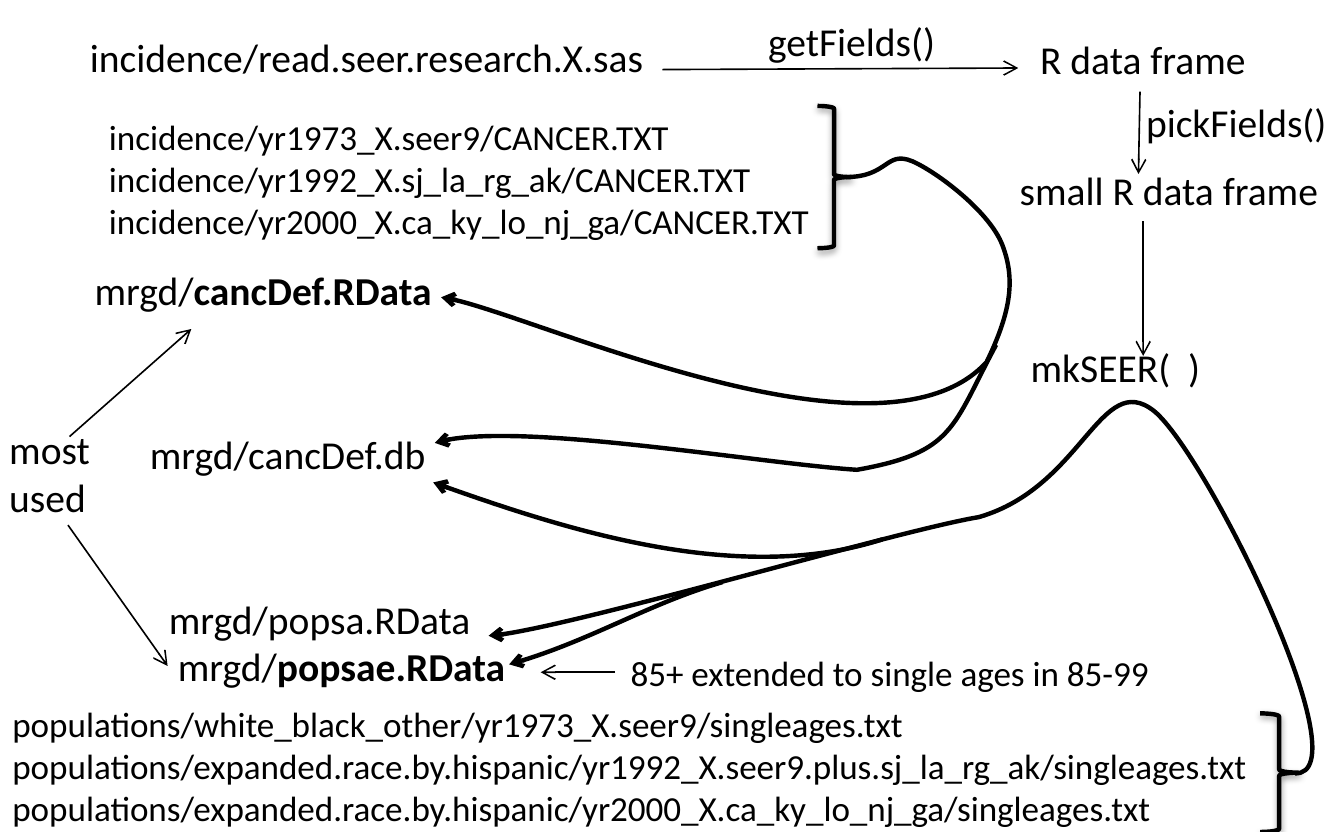
from lxml import etree
from pptx import Presentation
from pptx.dml.color import RGBColor
from pptx.enum.shapes import MSO_CONNECTOR, MSO_SHAPE
from pptx.enum.text import MSO_AUTO_SIZE, PP_ALIGN
from pptx.oxml import parse_xml
from pptx.oxml.ns import nsdecls, qn
from pptx.util import Inches, Pt

BLACK, WHITE = "000000", "FFFFFF"


def set_line(item, color, width, arrow=False):
    """Line colour and width, no inherited shadow, optional arrow at the end."""
    item.line.color.rgb = RGBColor.from_string(color)
    item.line.width = Pt(width)
    properties = item.line._get_or_add_ln()
    if arrow:
        etree.SubElement(properties, qn("a:tailEnd")).set("type", "arrow")
    properties.addnext(parse_xml(f"<a:effectLst {nsdecls('a')}/>"))


prs = Presentation()
prs.slide_width, prs.slide_height = Inches(8.5), Inches(5.26)
slide = prs.slides.add_slide(prs.slide_layouts[6])
shapes = slide.shapes

# Labels: left, top, width, height, size, wrap, border, paragraphs
# A paragraph is a tuple of its plain part and, if any, its bold part
labels = [
    (0.97, 3.71, 2.42, 1.01, 18, False, True,
     [("mrgd/popsa.RData",), (" mrgd/", "popsae.RData")]),
    (0.85, 2.67, 2.1, 0.4, 18, False, True, [("mrgd/cancDef.db",)]),
    (0.59, 0.68, 4.71, 0.91, 16, False, True,
     [("incidence/yr1973_X.seer9/CANCER.TXT",),
      ("incidence/yr1992_X.sj_la_rg_ak/CANCER.TXT",),
      ("incidence/yr2000_X.ca_ky_lo_nj_ga/CANCER.TXT",)]),
    (0.5, 1.63, 2.38, 0.4, 18, False, True, [("mrgd/", "cancDef.RData")]),
    (0.47, 0.16, 3.78, 0.4, 18, False, True,
     [("incidence/read.seer.research.X.sas",)]),
    (4.76, 0.06, 1.27, 0.4, 18, False, True, [("getFields()",)]),
    (6.48, 0.17, 1.53, 0.4, 18, False, True, [("R data frame",)]),
    (7.15, 0.57, 1.36, 0.4, 18, False, True, [("pickFields()",)]),
    (6.35, 1, 2.12, 0.4, 18, False, True, [("small R data frame",)]),
    (6.42, 2.12, 1.29, 0.4, 18, False, True, [("mkSEER(  )",)]),
    (-0.02, 4.39, 8.15, 0.91, 16, False, True,
     [("populations/white_black_other/yr1973_X.seer9/singleages.txt",),
      ("populations/expanded.race.by.hispanic/"
       "yr1992_X.seer9.plus.sj_la_rg_ak/singleages.txt",),
      ("populations/expanded.race.by.hispanic/"
       "yr2000_X.ca_ky_lo_nj_ga/singleages.txt",)]),
    (3.89, 4.07, 3.83, 0.37, 16, True, False,
     [("85+ extended to single ages in 85-99",)]),
    (-0.04, 2.64, 1.28, 0.71, 18, True, False, [("most",), ("used",)]),
]
for left, top, width, height, size, wrap, border, paragraphs in labels:
    label = shapes.add_textbox(Inches(left), Inches(top), Inches(width), Inches(height))
    if border:
        set_line(label, WHITE, 0.75)
    frame = label.text_frame
    frame.word_wrap = wrap
    frame.auto_size = MSO_AUTO_SIZE.SHAPE_TO_FIT_TEXT
    frame.text = "\n".join(parts[0] for parts in paragraphs)
    for paragraph, parts in zip(frame.paragraphs, paragraphs):
        paragraph.alignment = PP_ALIGN.LEFT
        for bold_part in parts[1:]:
            run = paragraph.add_run()
            run.text = bold_part
            run.font.bold = True
        for run in paragraph.runs:
            run.font.name = "Calibri"
            run.font.size = Pt(size)
            run.font.color.rgb = RGBColor.from_string(BLACK)

# Straight arrows: from x, y, to x, y
arrows = [
    (4.19, 0.44, 6.44, 0.43),  # getFields
    (7.21, 0.58, 7.2, 1.1),    # pickFields
    (7.23, 1.4, 7.23, 2.25),   # small data frame to mkSEER
    (3.89, 4.25, 3.42, 4.25),  # note on ages
    (0.44, 2.76, 1.21, 2.08),  # most used: cancDef
    (0.43, 3.32, 1.06, 4.21),  # most used: popsae
]
for ends in arrows:
    arrow = shapes.add_connector(MSO_CONNECTOR.STRAIGHT, *map(Inches, ends))
    set_line(arrow, BLACK, 0.75, arrow=True)

# Curved arrows: a start, then two control points and an end per segment
curves = [
    [(5.35, 1.12), (5.62, 1.12), (5.6, 0.95), (5.77, 1.02),
     (5.93, 1.09), (6.26, 1.34), (6.34, 1.55),
     (6.42, 1.76), (6.4, 1.96), (6.24, 2.29),
     (5.58, 3.01), (3.24, 1.93), (2.79, 1.88)],
    [(6.3, 2.18), (6.02, 2.7), (6.04, 2.86), (5.42, 2.97),
     (4.81, 2.93), (3.21, 2.65), (2.75, 2.8)],
    [(8.19, 4.89), (8.63, 4.9), (7.63, 2.87), (7.3, 2.6),
     (6.96, 2.33), (6.85, 3.08), (6.19, 3.27),
     (5.7, 3.35), (3.5, 4), (3.09, 4.02)],
    [(5.58, 3.41), (4.68, 3.7), (3.52, 3.33), (2.74, 3.05)],
    [(4.57, 3.68), (4.12, 3.81), (3.72, 4.06), (3.22, 4.2)],
]
for curve_points in curves:
    start, *points = [(Inches(x), Inches(y)) for x, y in curve_points]
    builder = shapes.build_freeform(*start)
    builder.add_line_segments(points, close=False)
    curve = builder.convert_to_shape()
    curve.fill.background()
    set_line(curve, BLACK, 2, arrow=True)
    # Merge each three straight steps into one Bezier segment
    steps = list(curve._element.iter(qn("a:lnTo")))
    for first in range(0, len(steps), 3):
        bezier = etree.Element(qn("a:cubicBezTo"))
        steps[first].addprevious(bezier)
        for step in steps[first:first + 3]:
            bezier.append(step[0])
            step.getparent().remove(step)

# Braces around the file groups, with a soft shadow
for place in [(7.97, 4.51, 0.24, 0.75), (5.17, 0.67, 0.21, 0.9)]:
    brace = shapes.add_shape(MSO_SHAPE.RIGHT_BRACE, *map(Inches, place))
    brace.fill.background()
    set_line(brace, BLACK, 2)
    brace._element.spPr.find(qn("a:effectLst")).append(parse_xml(
        f'<a:outerShdw {nsdecls("a")} blurRad="{Pt(3.1)}" dist="{Pt(1.6)}" '
        f'dir="5400000" rotWithShape="0"><a:srgbClr val="{BLACK}">'
        '<a:alpha val="38000"/></a:srgbClr></a:outerShdw>'))

prs.save("out.pptx")
